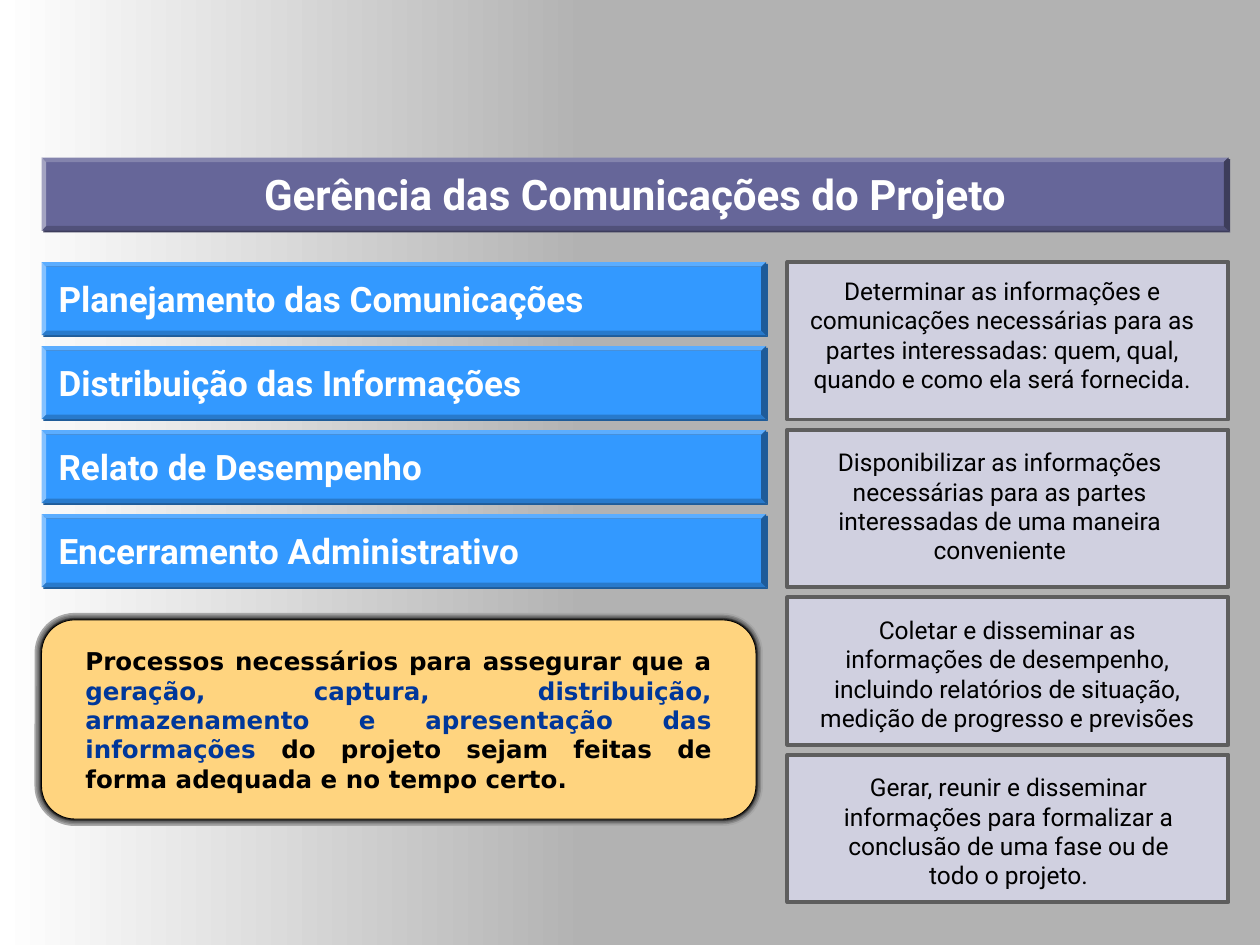
from dataclasses import dataclass

from lxml import etree
from pptx import Presentation
from pptx import util as u
from pptx.dml.color import RGBColor
from pptx.enum import shapes, text
from pptx.oxml.ns import qn


@dataclass(frozen=True)
class Theme:
    heading_font: str = "Roboto"
    summary_font: str = "DejaVu Sans"
    title_size: float = 24
    process_size: float = 20
    body_size: float = 14
    white: str = "FFFFFF"
    black: str = "000000"
    backdrop: str = "B2B2B2"
    title_fill: str = "666699"
    title_shadow: str = "3D3D5C"
    process_fill: str = "3399FF"
    process_shadow: str = "1F5C99"
    panel_fill: str = "D0D0E0"
    panel_line: str = "5E5E5E"
    summary_fill: str = "FFD47F"
    emphasis: str = "00379A"
    halo: tuple = (("A7A7A7", 8), ("8A8A8A", 6), ("727272", 4.5), ("5E5E5E", 3),
                   ("404040", 2.25), ("292929", 1.5), ("000000", 0.5))


class SlideBuilder:
    def __init__(self, slide, theme):
        self.slide = slide
        self.theme = theme

    def shape(self, kind, box, fill=None, line=None, line_width=1, parent=None):
        item = (parent or self.slide).shapes.add_shape(kind, *map(u.Inches, box))
        item.shadow.inherit = False
        if fill:
            item.fill.solid()
            item.fill.fore_color.rgb = RGBColor.from_string(fill)
        if line:
            item.line.color.rgb = RGBColor.from_string(line)
            item.line.width = u.Pt(line_width)
        else:
            item.line.fill.background()
        return item

    def backdrop(self):
        theme = self.theme
        background = self.slide.background.fill
        background.solid()
        background.fore_color.rgb = RGBColor.from_string(theme.backdrop)
        fade = self.shape(shapes.MSO_SHAPE.RECTANGLE, (0, 0, 4.67, 7.5))
        fade.fill.gradient()
        fade.fill.gradient_angle = 0
        for stop, color in zip(fade.fill.gradient_stops, (theme.white, theme.backdrop)):
            stop.color.rgb = RGBColor.from_string(color)
        self.shape(shapes.MSO_SHAPE.RECTANGLE, (4.83, 0, 5.17, 7.5), theme.backdrop)

    def bevel(self, box, fill, shadow):
        bar = self.shape(shapes.MSO_SHAPE.BEVEL, box, fill)
        bar.adjustments[0] = 0.0625
        effects = bar._element.spPr.find(qn("a:effectLst"))
        outer = etree.SubElement(effects, qn("a:outerShdw"), dist=str(u.Pt(1.4)),
                                 dir="2700000", algn="ctr", rotWithShape="0")
        etree.SubElement(outer, qn("a:srgbClr"), val=shadow)
        return bar

    def add_runs(self, frame, runs, size, align, font=None, bold=False):
        """Fill the first paragraph with (wording, colour) runs."""
        paragraph = frame.paragraphs[0]
        paragraph.alignment = align
        for wording, color in runs:
            run = paragraph.add_run()
            run.text = wording
            run.font.name = font or self.theme.heading_font
            run.font.size = u.Pt(size)
            run.font.bold = bold
            run.font.color.rgb = RGBColor.from_string(color)

    def title(self, wording, box):
        theme = self.theme
        self.bevel(box, theme.title_fill, theme.title_shadow)
        heading = self.slide.shapes.title
        heading.left, heading.top, heading.width, heading.height = map(u.Inches, box)
        # The placeholder comes first in the tree; bring it in front of its bar.
        self.slide.shapes._spTree.append(heading._element)
        frame = heading.text_frame
        frame.auto_size = text.MSO_AUTO_SIZE.NONE
        frame.vertical_anchor = text.MSO_ANCHOR.MIDDLE
        self.add_runs(frame, [(wording, theme.white)], theme.title_size,
                      text.PP_ALIGN.CENTER, bold=True)

    def process(self, wording, box):
        theme = self.theme
        frame = self.bevel(box, theme.process_fill, theme.process_shadow).text_frame
        frame.word_wrap = False
        frame.vertical_anchor = text.MSO_ANCHOR.MIDDLE
        self.add_runs(frame, [(wording, theme.white)], theme.process_size,
                      text.PP_ALIGN.LEFT, bold=True)

    def text_box(self, box, runs, align, **style):
        frame = self.slide.shapes.add_textbox(*map(u.Inches, box)).text_frame
        frame.word_wrap = True
        frame.auto_size = text.MSO_AUTO_SIZE.SHAPE_TO_FIT_TEXT
        self.add_runs(frame, runs, self.theme.body_size, align, **style)

    def panel(self, box, wording, text_area):
        theme = self.theme
        self.shape(shapes.MSO_SHAPE.RECTANGLE, box, theme.panel_fill, theme.panel_line, 2.25)
        self.text_box(text_area, [(wording, theme.black)], text.PP_ALIGN.CENTER)

    def summary(self, box, text_area, runs):
        """Rounded card whose stacked outlines, wide to thin, form a soft halo."""
        theme = self.theme
        card = self.slide.shapes.add_group_shape()
        for color, width in theme.halo:
            self.shape(shapes.MSO_SHAPE.ROUNDED_RECTANGLE, box, theme.summary_fill,
                       color, width, parent=card)
        self.text_box(text_area, runs, text.PP_ALIGN.JUSTIFY,
                      font=theme.summary_font, bold=True)


PROCESSES = ("Planejamento das Comunicações", "Distribuição das Informações",
             "Relato de Desempenho", "Encerramento Administrativo")

# Panel height, wording, text area
DESCRIPTIONS = (
    (1.25, "Determinar as informações e comunicações necessárias para as partes "
           "interessadas: quem, qual, quando e como ela será fornecida.",
     (6.33, 2.14, 3.25, 1.27)),
    (1.25, "Disponibilizar as informações necessárias para as partes interessadas "
           "de uma maneira conveniente",
     (6.25, 3.5, 3.37, 1.04)),
    (1.17, "Coletar e disseminar as informações de desempenho, incluindo relatórios "
           "de situação, medição de progresso e previsões",
     (6.33, 4.83, 3.33, 1.04)),
    (1.17, "Gerar, reunir e disseminar informações para formalizar a conclusão de "
           "uma fase ou de todo o projeto.",
     (6.42, 6.08, 3.17, 1.04)),
)


def main():
    theme = Theme()
    deck = Presentation()
    deck.slide_width, deck.slide_height = u.Inches(10), u.Inches(7.5)
    builder = SlideBuilder(deck.slides.add_slide(deck.slide_layouts[5]), theme)

    left, rows_top, bar_height, gap = 0.33, 2.08, 0.58, 0.08
    builder.backdrop()
    builder.title("Gerência das Comunicações do Projeto", (left, 1.25, 9.42, bar_height))

    for row, name in enumerate(PROCESSES):
        builder.process(name, (left, rows_top + row * 2 / 3, 5.75, bar_height))

    builder.summary((left, 4.92, 5.67, 1.58), (0.58, 5.08, 5.17, 1.04), (
        ("Processos necessários para assegurar que a ", theme.black),
        ("geração, captura, distribuição, armazenamento e apresentação das informações ",
         theme.emphasis),
        ("do projeto sejam feitas de forma adequada e no tempo certo.", theme.black),
    ))

    panel_top = rows_top
    for height, wording, text_area in DESCRIPTIONS:
        builder.panel((6.25, panel_top, 3.5, height), wording, text_area)
        panel_top += height + gap

    deck.save("out.pptx")


if __name__ == "__main__":
    main()
